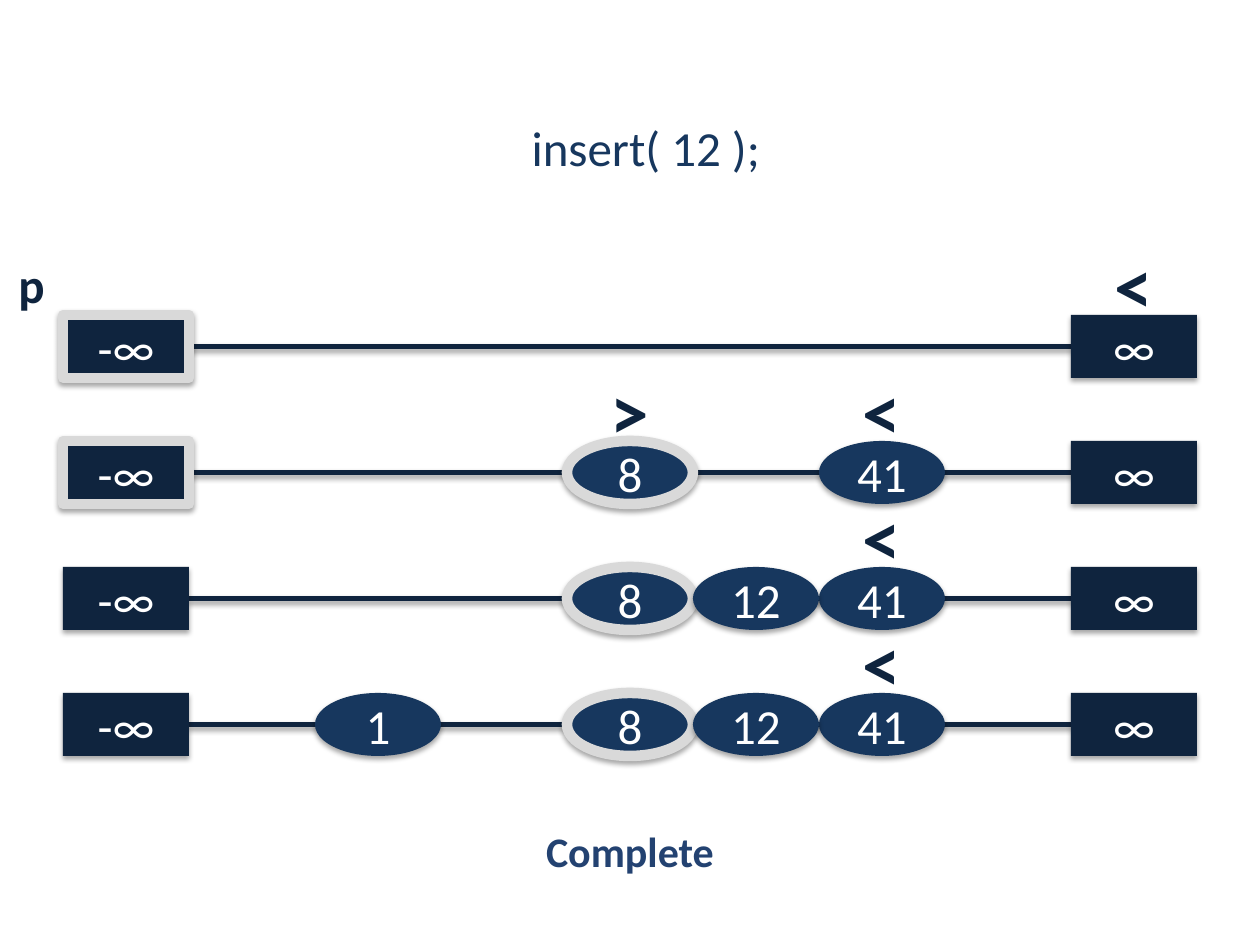
from dataclasses import dataclass

from lxml import etree
from pptx import Presentation
from pptx.dml.color import RGBColor
from pptx.enum import shapes, text
from pptx.oxml import ns
from pptx.util import Inches, Pt


@dataclass(frozen=True)
class Theme:
    font: str = "Calibri"
    sentinel: str = "0F243E"
    node: str = "17375E"
    visited: str = "D9D9D9"
    status: str = "234271"
    white: str = "FFFFFF"
    label_size: int = 28
    status_size: int = 24
    compare_size: int = 44


THEME = Theme()
NODE_W, NODE_H = 1, 0.5
FIRST, LAST = 0.5, 8.5  # left edges of the two sentinels

# Each level: top, nodes as (value, left, visited), comparisons as (sign, left)
LEVELS = [
    (2.5, [("-∞", FIRST, True), ("∞", LAST, False)], [("<", LAST)]),
    (3.5, [("-∞", FIRST, True), ("8", 4.5, True), ("41", 6.5, False),
           ("∞", LAST, False)], [(">", 4.5), ("<", 6.5)]),
    (4.5, [("-∞", FIRST, False), ("8", 4.5, True), ("12", 5.5, False),
           ("41", 6.5, False), ("∞", LAST, False)], [("<", 6.5)]),
    (5.5, [("-∞", FIRST, False), ("1", 2.5, False), ("8", 4.5, True),
           ("12", 5.5, False), ("41", 6.5, False), ("∞", LAST, False)],
     [("<", 6.5)]),
]


def rgb(colour):
    return RGBColor.from_string(colour)


def write(part, words, *, size=THEME.label_size, colour=THEME.sentinel,
          bold=False, anchor=text.MSO_ANCHOR.MIDDLE):
    frame = part.text_frame
    frame.word_wrap = True
    frame.vertical_anchor = anchor
    paragraph = frame.paragraphs[0]
    paragraph.alignment = text.PP_ALIGN.CENTER
    run = paragraph.add_run()
    run.text = words
    run.font.name = THEME.font
    run.font.size = Pt(size)
    run.font.bold = bold
    run.font.color.rgb = rgb(colour)


def add_label(slide, words, left, top, width, height, **style):
    label = slide.shapes.add_textbox(
        Inches(left), Inches(top), Inches(width), Inches(height))
    write(label, words, **style)


def add_shadow(part):
    """Give a shape or connector a soft shadow falling straight down."""
    effects = etree.SubElement(part._element.spPr, ns.qn("a:effectLst"))
    shadow = etree.SubElement(
        effects, ns.qn("a:outerShdw"), blurRad=str(Pt(3.1)),
        dist=str(Pt(1.8)), dir="5400000", rotWithShape="0")
    black = etree.SubElement(shadow, ns.qn("a:srgbClr"), val="000000")
    etree.SubElement(black, ns.qn("a:alpha"), val="35000")


def add_link(slide, top):
    middle = Inches(top + NODE_H / 2)
    link = slide.shapes.add_connector(
        shapes.MSO_CONNECTOR.STRAIGHT,
        Inches(LAST), middle, Inches(FIRST + NODE_W), middle)
    link.line.color.rgb = rgb(THEME.sentinel)
    link.line.width = Pt(3)
    add_shadow(link)


def add_node(slide, value, left, top, visited):
    is_sentinel = "∞" in value
    outline = (shapes.MSO_SHAPE.RECTANGLE if is_sentinel
               else shapes.MSO_SHAPE.OVAL)
    node = slide.shapes.add_shape(
        outline, Inches(left), Inches(top), Inches(NODE_W), Inches(NODE_H))
    node.fill.solid()
    node.fill.fore_color.rgb = rgb(
        THEME.sentinel if is_sentinel else THEME.node)
    if visited:
        node.line.color.rgb = rgb(THEME.visited)
        node.line.width = Pt(6)
    else:
        node.line.fill.background()
    add_shadow(node)
    write(node, value, colour=THEME.white)


def add_level(slide, top, nodes, comparisons):
    add_link(slide, top)
    # Visited nodes come last so that neighbours do not cover their rings
    # except for the inserted 12, which lies over the ring of the 8.
    for value, left, visited in sorted(
            nodes, key=lambda node: (node[0] == "12", node[2])):
        add_node(slide, value, left, top, visited)
    for sign, left in comparisons:
        add_label(slide, sign, left, top - NODE_H, NODE_W, NODE_H,
                  size=THEME.compare_size, bold=True)


def main():
    deck = Presentation()
    deck.slide_width, deck.slide_height = Inches(10), Inches(7.5)
    slide = deck.slides.add_slide(deck.slide_layouts[6])

    # Status below the list
    add_label(slide, "Complete", 2.75, 6, 4.5, 1.5,
              size=THEME.status_size, colour=THEME.status, bold=True)

    # Skip list, from the top level down
    for top, nodes, comparisons in LEVELS:
        add_level(slide, top, nodes, comparisons)

    # Search pointer and the operation shown
    add_label(slide, "p", 0, 2, 0.5, 0.5, bold=True)
    add_label(slide, "insert( 12 );", 2.96, 0.88, 4.33, 0.57,
              colour=THEME.node, anchor=text.MSO_ANCHOR.TOP)

    deck.save("out.pptx")


if __name__ == "__main__":
    main()
